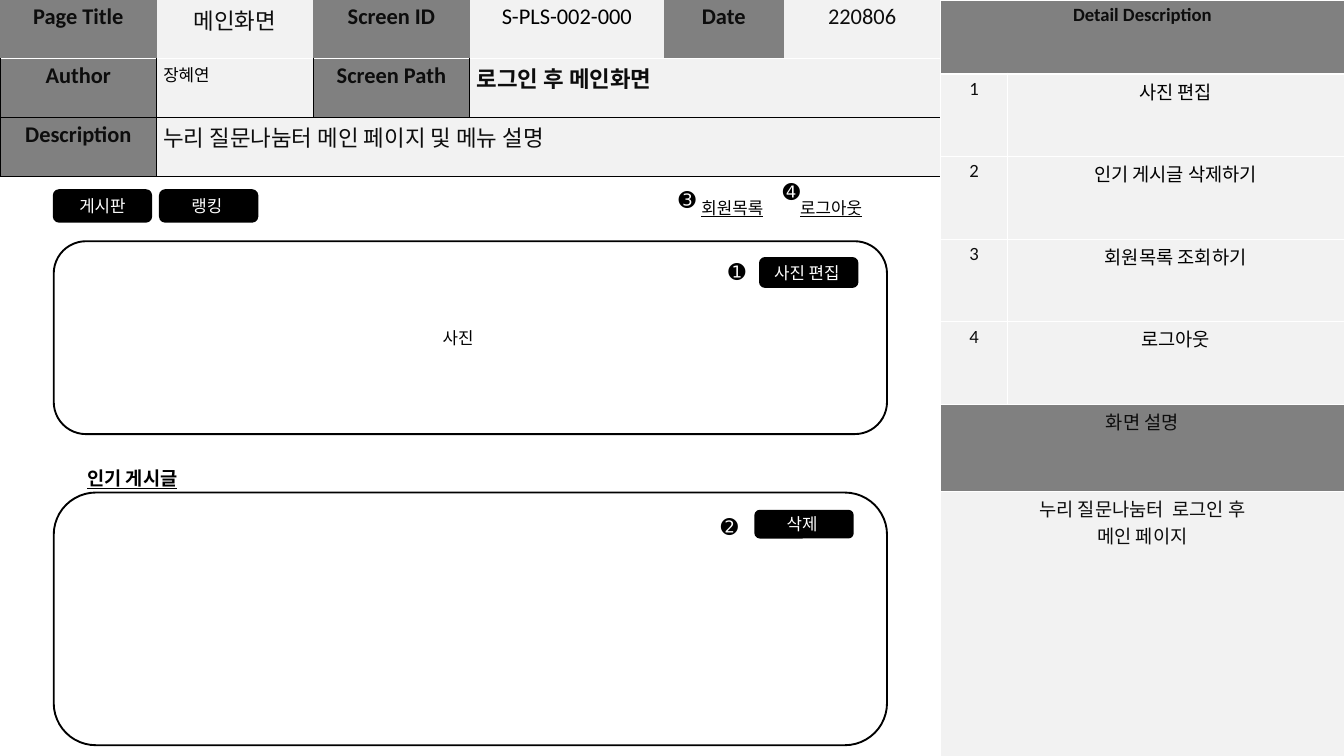
"""Build the storyboard slide for the main screen after login."""
from lxml.etree import SubElement
from pptx import Presentation
from pptx.dml.color import RGBColor
from pptx.enum.shapes import MSO_SHAPE
from pptx.enum.text import MSO_ANCHOR, MSO_AUTO_SIZE, PP_ALIGN
from pptx.oxml.ns import qn
from pptx.util import Inches, Pt

BLACK, WHITE, INK, GRAY, PALE = "000000", "FFFFFF", "0D0D0D", "808080", "F2F2F2"
CJK = "Noto Sans CJK KR"


def write(frame, text, size, face="Calibri", color=BLACK, align=PP_ALIGN.LEFT, **style):
    frame.text = text
    for para in frame.paragraphs:
        para.alignment = align
        font = para.runs[0].font
        font.color.rgb = RGBColor.from_string(color)
        for key, value in {"size": Pt(size), "name": face, "bold": False, **style}.items():
            setattr(font, key, value)


def paint(cell, fill, edges):
    props = cell._tc.get_or_add_tcPr()
    for side, (color, width) in edges.items():
        line = SubElement(props, qn(f"a:ln{side}"), w=str(Pt(width)))
        solid = SubElement(line, qn("a:solidFill"))
        SubElement(solid, qn("a:srgbClr"), val=color)
    cell.fill.solid()
    cell.fill.fore_color.rgb = RGBColor.from_string(fill)


deck = Presentation()
deck.slide_width, deck.slide_height = Inches(20), Inches(11.25)
slide = deck.slides.add_slide(deck.slide_layouts[6])
shapes = slide.shapes

grids = []
for left, width, cols, rows in [
    (0, 14, [2.33, 2.33, 2.33, 2.89, 1.78, 2.34], [0.87, 0.88, 0.88]),
    (14, 6, [0.99, 5.01], [1.1] + [1.23] * 4 + [1.29, 3.94]),
]:
    frame = shapes.add_table(len(rows), len(cols), Inches(left), 0, Inches(width), Inches(sum(rows)))
    grid = frame.table
    grid._tbl.tblPr.find(qn("a:tableStyleId")).text = "{2D5ABB26-0587-4C30-8999-92F81FD0307C}"
    for col, size in zip(grid.columns, cols):
        col.width = Inches(size)
    for row, size in zip(grid.rows, rows):
        row.height = Inches(size)
    grids.append(grid)
head, detail = grids

thin, dark = (WHITE, 0.96), (BLACK, 1)
labels = [(0, 0), (0, 2), (0, 4), (1, 0), (1, 2), (2, 0)]
for r in range(3):
    for c in range(6):
        if r == 0:
            edges = {"B": thin}
        else:
            edges = {"L": dark, "R": dark, "T": thin if r == 1 else dark, "B": dark}
        paint(head.cell(r, c), GRAY if (r, c) in labels else PALE, edges)
head.cell(1, 3).merge(head.cell(1, 5))
head.cell(2, 1).merge(head.cell(2, 5))

names = ["Page Title", "Screen ID", "Date", "Author", "Screen Path", "Description"]
for (r, c), name in zip(labels, names):
    write(head.cell(r, c).text_frame, name, 24, color=INK, align=PP_ALIGN.CENTER, bold=True)
for r, c, text, size, face, color, align, bold in [
    (0, 1, "메인화면", 24, "Calibri", INK, PP_ALIGN.CENTER, False),
    (0, 3, "S-PLS-002-000", 24, "Calibri", BLACK, PP_ALIGN.CENTER, False),
    (0, 5, "220806", 24, "Calibri", INK, PP_ALIGN.CENTER, False),
    (1, 1, "장혜연", 18, "Arial", BLACK, PP_ALIGN.LEFT, False),
    (1, 3, "로그인 후 메인화면", 24, "Calibri", INK, PP_ALIGN.LEFT, True),
    (2, 1, "누리 질문나눔터 메인 페이지 및 메뉴 설명", 24, "Calibri", INK, PP_ALIGN.LEFT, False),
]:
    write(head.cell(r, c).text_frame, text, size, face, color, align, bold=bold)

for r in range(7):
    for c in range(2):
        edges = {"L": thin, "R": thin,
                 "T": (WHITE, 3) if r == 1 else thin,
                 "B": (WHITE, 3) if r == 0 else thin}
        paint(detail.cell(r, c), GRAY if r in (0, 5) else PALE, edges)
for r, text in [
    (0, "Detail Description"),
    (5, "화면 설명"),
    (6, "누리 질문나눔터  로그인 후\n메인 페이지"),
]:
    detail.cell(r, 0).merge(detail.cell(r, 1))
    write(detail.cell(r, 0).text_frame, text, 20, color=INK, align=PP_ALIGN.CENTER, bold=r == 0)
tasks = ["사진 편집", "인기 게시글 삭제하기", "회원목록 조회하기", "로그아웃"]
for r, task in enumerate(tasks, 1):
    write(detail.cell(r, 0).text_frame, str(r), 20, color=INK, align=PP_ALIGN.CENTER)
    write(detail.cell(r, 1).text_frame, task, 20, CJK, align=PP_ALIGN.CENTER)

for text, left, top, width, height in [
    ("", 0.8, 3.59, 12.4, 2.87),
    ("", 0.8, 7.33, 12.4, 3.76),
    ("게시판", 0.8, 2.83, 1.45, 0.47),
    ("랭킹 ", 2.38, 2.83, 1.45, 0.47),
    ("삭제 ", 11.24, 7.6, 1.45, 0.4),
    ("사진 편집 ", 11.31, 3.84, 1.45, 0.43),
]:
    box = shapes.add_shape(MSO_SHAPE.ROUNDED_RECTANGLE, Inches(left), Inches(top), Inches(width), Inches(height))
    box.shadow.inherit = False
    box.line.color.rgb = RGBColor.from_string(BLACK)
    box.line.width = Pt(2)
    if text:
        box.fill.solid()
        box.fill.fore_color.rgb = RGBColor.from_string(BLACK)
        box.text_frame.vertical_anchor = MSO_ANCHOR.MIDDLE
        write(box.text_frame, text, 18, "Arial", WHITE, PP_ALIGN.CENTER)
    else:
        box.fill.background()

link = {"size": 18, "face": "Calibri", "underline": True}
mark = {"size": 22, "face": "Calibri"}
for text, left, top, width, height, wrap, style in [
    ("사진", 6.49, 4.83, 1.03, 0.4, True, {"size": 18, "face": "Arial"}),
    ("인기 게시글", 1.2, 6.9, 1.91, 0.44, True, {"size": 20, "face": "Arial", "bold": True, "underline": True}),
    ("로그아웃", 11.81, 2.89, 1.21, 0.4, False, link),
    ("회원목록", 10.34, 2.89, 1.21, 0.4, False, link),
    ("➊", 10.74, 3.8, 0.42, 0.46, True, mark),
    ("➋", 10.63, 7.6, 0.42, 0.46, True, mark),
    ("➌", 10, 2.73, 0.42, 0.46, True, mark),
    ("➍", 11.55, 2.61, 0.42, 0.46, True, mark),
]:
    note = shapes.add_textbox(Inches(left), Inches(top), Inches(width), Inches(height)).text_frame
    note.word_wrap = wrap
    note.auto_size = MSO_AUTO_SIZE.SHAPE_TO_FIT_TEXT
    write(note, text, **style)

deck.save("out.pptx")
